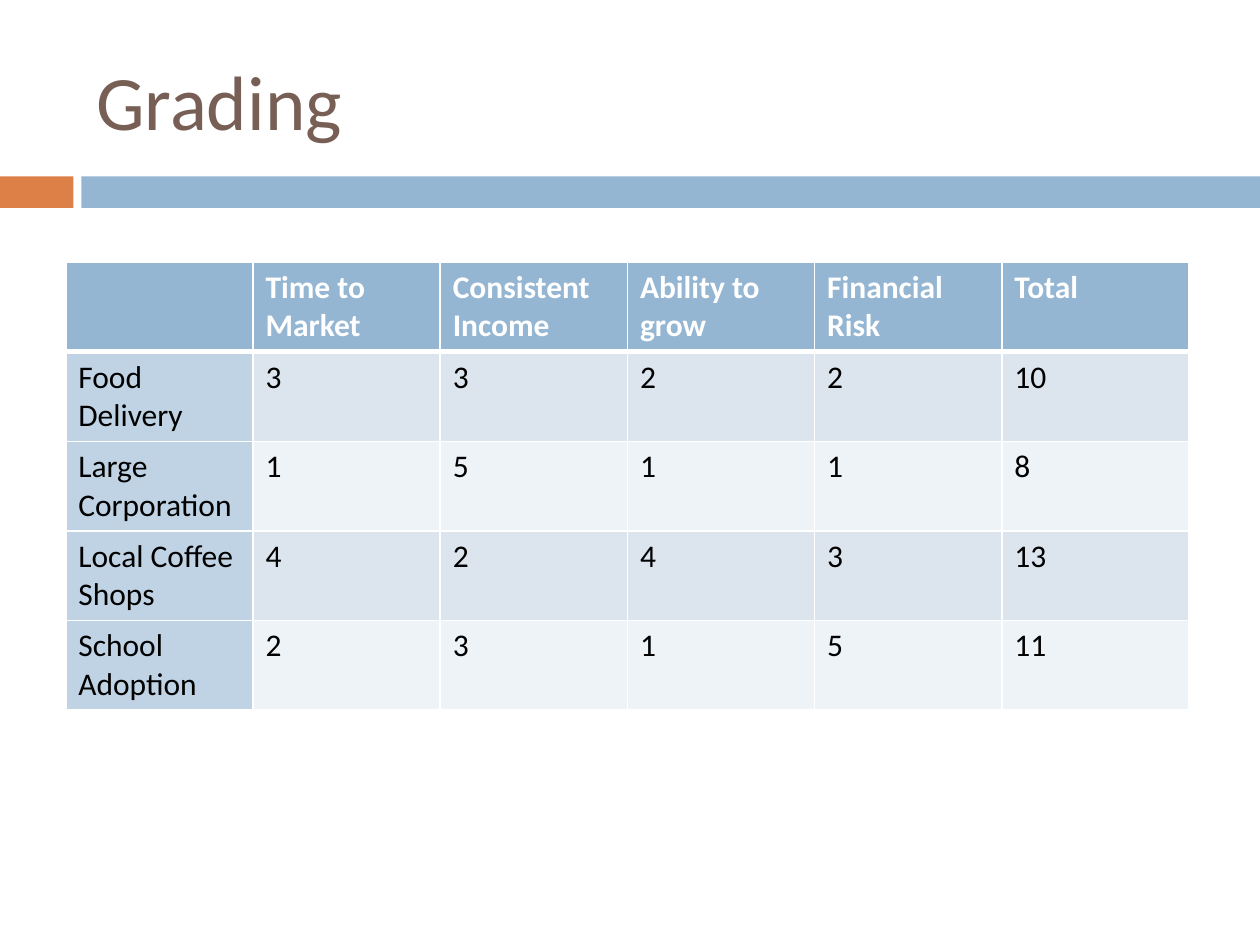
from lxml import etree
from pptx import Presentation
from pptx.dml.color import RGBColor
from pptx.enum.shapes import MSO_SHAPE
from pptx.enum.text import MSO_ANCHOR
from pptx.oxml.ns import qn
from pptx.util import Pt

RECTANGLE = MSO_SHAPE.RECTANGLE
MIDDLE = MSO_ANCHOR.MIDDLE

FONT = "Calibri"
WHITE = RGBColor(0xFF, 0xFF, 0xFF)
BLACK = RGBColor(0x00, 0x00, 0x00)
BROWN = RGBColor(0x77, 0x5F, 0x55)
ORANGE = RGBColor(0xDD, 0x80, 0x47)
BLUE = RGBColor(0x94, 0xB6, 0xD2)
LABEL_BLUE = RGBColor(0xBF, 0xD3, 0xE4)
BAND_DARK = RGBColor(0xDC, 0xE5, 0xEE)
BAND_LIGHT = RGBColor(0xEE, 0xF3, 0xF7)

GRADES = [
    ["", "Time to Market", "Consistent Income", "Ability to grow", "Financial Risk", "Total"],
    ["Food Delivery", "3", "3", "2", "2", "10"],
    ["Large Corporation", "1", "5", "1", "1", "8"],
    ["Local Coffee Shops", "4", "2", "4", "3", "13"],
    ["School Adoption", "2", "3", "1", "5", "11"],
]
COLUMN_WIDTH = 107
ROW_HEIGHT = 51.2


def add_span(para, text, size, color, bold=False):
    span = para.add_run()
    span.text = text
    span.font.name = FONT
    span.font.size = Pt(size)
    span.font.bold = bold
    span.font.color.rgb = color


def add_bar(page, left, width, color):
    bar = page.shapes.add_shape(RECTANGLE, Pt(left), Pt(100.8), Pt(width), Pt(18))
    bar.shadow.inherit = False
    bar.fill.solid()
    bar.fill.fore_color.rgb = color
    bar.line.fill.background()


def add_title(page, text):
    box = page.shapes.add_textbox(Pt(48), Pt(18), Pt(642), Pt(78))
    frame = box.text_frame
    frame.word_wrap = True
    frame.vertical_anchor = MIDDLE
    add_span(frame.paragraphs[0], text, 44, BROWN)


def set_borders(cell, top, bottom):
    properties = cell._tc.get_or_add_tcPr()
    widths = {"a:lnL": 1, "a:lnR": 1, "a:lnT": top, "a:lnB": bottom}
    for position, (side, width) in enumerate(widths.items()):
        border = etree.Element(qn(side), w=str(Pt(width)))
        fill = etree.SubElement(border, qn("a:solidFill"))
        etree.SubElement(fill, qn("a:srgbClr"), val=str(WHITE))
        properties.insert(position, border)


def cell_color(row, column):
    if row == 0:
        return BLUE
    if column == 0:
        return LABEL_BLUE
    return BAND_DARK if row % 2 else BAND_LIGHT


def add_grades(page, grades):
    row_count, column_count = len(grades), len(grades[0])
    table = page.shapes.add_table(
        row_count, column_count, Pt(37.6), Pt(149.8),
        Pt(column_count * COLUMN_WIDTH), Pt(row_count * ROW_HEIGHT),
    ).table
    for column in table.columns:
        column.width = Pt(COLUMN_WIDTH)
    for row, texts in enumerate(grades):
        table.rows[row].height = Pt(ROW_HEIGHT)
        header = row == 0
        for column, text in enumerate(texts):
            cell = table.cell(row, column)
            cell.fill.solid()
            cell.fill.fore_color.rgb = cell_color(row, column)
            set_borders(cell, top=3 if row == 1 else 1, bottom=3 if header else 1)
            if text:
                para = cell.text_frame.paragraphs[0]
                add_span(para, text, 18, WHITE if header else BLACK, header)


def main():
    deck = Presentation()
    deck.slide_width, deck.slide_height = Pt(720), Pt(540)
    page = deck.slides.add_slide(deck.slide_layouts[6])
    add_bar(page, 0, 42, ORANGE)
    add_bar(page, 46.5, 673.5, BLUE)
    add_title(page, "Grading")
    add_grades(page, GRADES)
    deck.save("out.pptx")


if __name__ == "__main__":
    main()
